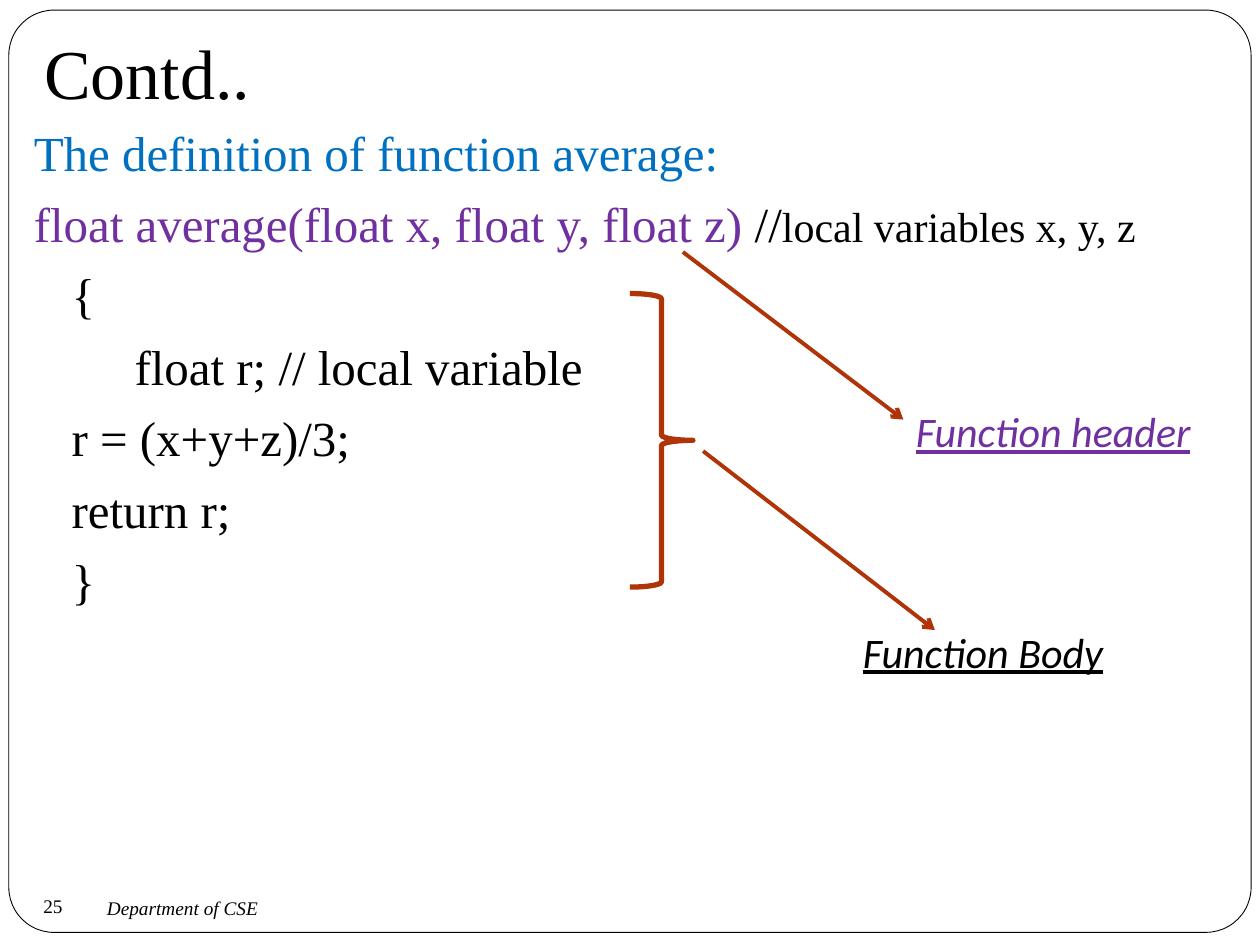
"""Build the slide that explains the definition of the function average."""
from lxml import etree
from pptx import Presentation
from pptx.dml.color import RGBColor
from pptx.enum.shapes import MSO_CONNECTOR, MSO_SHAPE
from pptx.enum.text import MSO_ANCHOR, PP_ALIGN
from pptx.oxml.ns import qn
from pptx.util import Inches, Pt

STRAIGHT = MSO_CONNECTOR.STRAIGHT
ROUNDED, BRACE = MSO_SHAPE.ROUNDED_RECTANGLE, MSO_SHAPE.RIGHT_BRACE
MIDDLE, BOTTOM = MSO_ANCHOR.MIDDLE, MSO_ANCHOR.BOTTOM
LEFT, CENTER = PP_ALIGN.LEFT, PP_ALIGN.CENTER
SERIF, SANS = "Times New Roman", "Calibri"
BLACK, WHITE, BLUE, PURPLE, RUST = "000000", "FFFFFF", "0070C0", "7030A0", "AF3408"


def color(value):
    """Turn a hex string into a colour."""
    return RGBColor.from_string(value)


def style(font, size, name=SERIF, shade=BLACK):
    """Set the size, typeface and colour of a font."""
    font.size = Pt(size)
    font.name = name
    font.color.rgb = color(shade)


deck = Presentation()
deck.slide_width, deck.slide_height = Inches(10), Inches(7.5)
page = deck.slides.add_slide(deck.slide_layouts[5])

frame = page.shapes.add_shape(ROUNDED, Inches(0.07), Inches(0.08), Inches(9.86), Inches(7.32))
frame.adjustments[0] = 0.049
frame.shadow.inherit = False
frame.fill.solid()
frame.fill.fore_color.rgb = color(WHITE)
frame.line.color.rgb = color(BLACK)
frame.line.width = Pt(0.5)
page.shapes._spTree.insert(2, frame._element)

title = page.shapes.title
title.left, title.top, title.width, title.height = Inches(0.25), Inches(0.3), Inches(9.5), Inches(0.7)
title.text_frame.text = "Contd.."
title.text_frame.vertical_anchor = BOTTOM
title.text_frame.margin_bottom = Inches(0.1)
title.text_frame.paragraphs[0].alignment = LEFT
style(title.text_frame.paragraphs[0].font, 40)

code_lines = [
    [("The definition of function average:", 28, BLUE)],
    [("float average(float x, float y, float z) ", 28, PURPLE), ("//", 28, BLACK),
     ("local variables x, y, z", 24, BLACK)],
    [("\t{", 28, BLACK)],
    [("\t\tfloat r; // local variable", 28, BLACK)],
    [("\tr = (x+y+z)/3;", 28, BLACK)],
    [("\treturn r;", 28, BLACK)],
    [("\t}", 28, BLACK)],
]
code = page.shapes.add_textbox(Inches(0.17), Inches(0.92), Inches(9.67), Inches(5.67))
code.text_frame.word_wrap = True
for index, spans in enumerate(code_lines):
    para = code.text_frame.paragraphs[0] if index == 0 else code.text_frame.add_paragraph()
    if index:
        para.space_before = Pt(7.2)
    properties = para._p.get_or_add_pPr()
    properties.set("marL", str(Inches(0.3)))
    properties.set("indent", str(-Inches(0.3)))
    tabs = etree.SubElement(properties, qn("a:tabLst"))
    for stop in range(8):
        etree.SubElement(tabs, qn("a:tab"), pos=str(Inches(stop)), algn="l")
    if len(spans) == 1:
        para.text = spans[0][0]
        style(para.font, spans[0][1], shade=spans[0][2])
        continue
    for text, size, shade in spans:
        span = para.add_run()
        span.text = text
        style(span.font, size, shade=shade)

brace = page.shapes.add_shape(BRACE, Inches(5), Inches(2.33), Inches(0.5), Inches(2.33))
brace.shadow.inherit = False
brace.fill.background()
brace.line.color.rgb = color(RUST)
brace.line.width = Pt(3)

for x1, y1, x2, y2 in [(5.42, 2, 7.17, 3.33), (5.58, 3.58, 7.42, 5)]:
    arrow = page.shapes.add_connector(STRAIGHT, Inches(x1), Inches(y1), Inches(x2), Inches(y2))
    arrow.line.color.rgb = color(RUST)
    arrow.line.width = Pt(2.25)
    etree.SubElement(arrow.line._get_or_add_ln(), qn("a:tailEnd"), type="arrow")
    etree.SubElement(arrow._element.spPr, qn("a:effectLst"))

labels = [
    ("Function header", 7.17, 3.17, 2.58, 0.5, 24, SANS, PURPLE),
    ("Function Body", 6.75, 4.92, 2.67, 0.5, 24, SANS, BLACK),
    ("Department of CSE", 0.75, 7.08, 4.33, 0.25, 11, SERIF, BLACK),
    ("25", 0.17, 7, 0.5, 0.38, 11, SERIF, BLACK),
]
for text, left, top, width, height, size, name, shade in labels:
    box = page.shapes.add_textbox(Inches(left), Inches(top), Inches(width), Inches(height))
    box.text_frame.word_wrap = True
    box.text_frame.text = text
    para = box.text_frame.paragraphs[0]
    style(para.font, size, name, shade)
    para.font.italic = text != "25"
    if name == SANS:
        para.font.underline = True
    else:
        box.text_frame.vertical_anchor = MIDDLE
    if text == "25":
        para.alignment = CENTER

deck.save("out.pptx")
